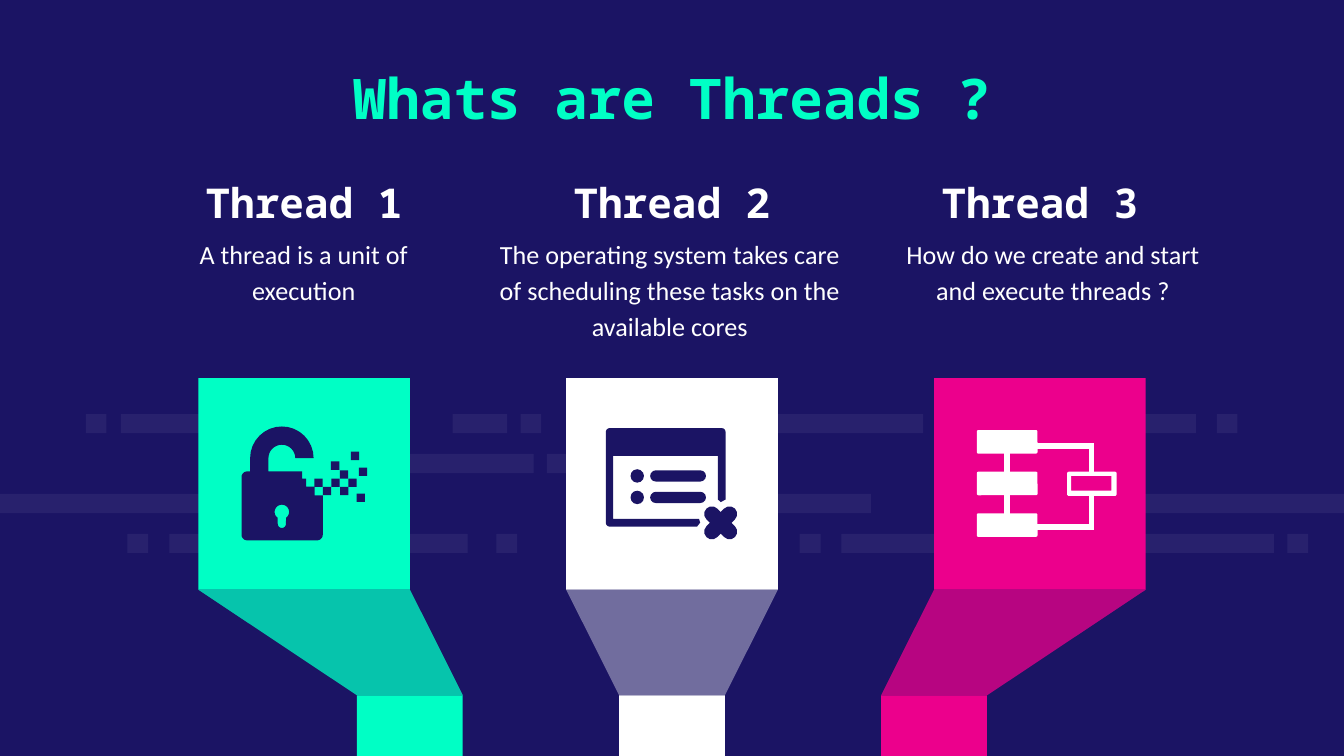
from math import cos, radians, sin

from lxml.etree import SubElement
from pptx import Presentation
from pptx.dml.color import RGBColor
from pptx.enum.shapes import MSO_CONNECTOR, MSO_SHAPE
from pptx.enum.text import MSO_ANCHOR, MSO_AUTO_SIZE, PP_ALIGN
from pptx.oxml.ns import qn
from pptx.util import Pt

NAVY = RGBColor(0x1B, 0x14, 0x64)
MINT = RGBColor(0x00, 0xFF, 0xC5)
PINK = RGBColor(0xEC, 0x00, 0x8C)
WHITE = RGBColor(0xFF, 0xFF, 0xFF)
MONO, SANS = "Noto Sans Mono", "Calibri"


def arc(x, y, r, start, end, steps=16):
    """Return points on an arc; angles in degrees, clockwise from the right."""
    turns = [radians(start + (end - start) * i / steps) for i in range(steps + 1)]
    return [(x + r * cos(t), y + r * sin(t)) for t in turns]


class Deck:
    """The style and the current slide."""

    def __init__(self, show):
        """Add a title-only slide with a navy ground."""
        self.slide = show.slides.add_slide(show.slide_layouts[5])
        self.shapes = self.slide.shapes
        self.slide.background.fill.solid()
        self.slide.background.fill.fore_color.rgb = NAVY

    def paint(self, shape, color, alpha=100):
        """Fill a shape, with no line or shadow."""
        shape.shadow.inherit = False
        shape.line.fill.background()
        shape.fill.solid()
        shape.fill.fore_color.rgb = color
        if alpha < 100:
            tone = shape.fill._xPr.find(".//" + qn("a:srgbClr"))
            SubElement(tone, qn("a:alpha")).set("val", str(alpha * 1000))

    def box(self, x, y, w, h, color, alpha=100, kind=MSO_SHAPE.RECTANGLE, bend=None, turn=0):
        """Draw a preset shape; bend is the corner radius."""
        shape = self.shapes.add_shape(kind, Pt(x), Pt(y), Pt(w), Pt(h))
        if bend:
            shape.adjustments[0] = bend / min(w, h)
        shape.rotation = turn
        self.paint(shape, color, alpha)

    def pill(self, x, y, w, h, bend, color, turn=0):
        """Draw a box with round corners."""
        self.box(x, y, w, h, color, kind=MSO_SHAPE.ROUNDED_RECTANGLE, bend=bend, turn=turn)

    def trace(self, color, *loops, alpha=100):
        """Draw closed outlines; inner ones are holes."""
        loops = [[(Pt(x), Pt(y)) for x, y in loop] for loop in loops]
        pen = self.shapes.build_freeform(*loops[0][0], scale=1.0)
        for i, loop in enumerate(loops):
            if i:
                pen.move_to(*loop[0])
            pen.add_line_segments(loop[1:], close=True)
        self.paint(pen.convert_to_shape(), color, alpha)

    def line(self, x1, y1, x2, y2, color, width=3):
        """Draw a straight line."""
        link = self.shapes.add_connector(MSO_CONNECTOR.STRAIGHT, Pt(x1), Pt(y1), Pt(x2), Pt(y2))
        link.line.color.rgb = color
        link.line.width = Pt(width)
        SubElement(link._element.spPr, qn("a:effectLst"))

    def style(self, shape, text, size, color, font, bold, anchor, pad, space):
        """Set the text of a shape and its format."""
        frame = shape.text_frame
        frame.text = text
        frame.word_wrap = True
        frame.auto_size = MSO_AUTO_SIZE.NONE
        frame.vertical_anchor = anchor
        frame.margin_left = frame.margin_right = Pt(7.2)
        frame.margin_top, frame.margin_bottom = Pt(pad[0]), Pt(pad[1])
        para = frame.paragraphs[0]
        para.alignment = PP_ALIGN.CENTER
        para.line_spacing = space
        face = para.runs[0].font
        face.name, face.size, face.bold = font, Pt(size), bold
        face.color.rgb = color

    def title(self, x, y, w, h, text):
        """Place and fill the title."""
        shape = self.shapes.title
        shape.left, shape.top, shape.width, shape.height = Pt(x), Pt(y), Pt(w), Pt(h)
        self.style(shape, text, 30, MINT, MONO, True, MSO_ANCHOR.TOP, (7.2, 7.2), 1.0)

    def head(self, x, y, w, h, text):
        """Add a column heading."""
        shape = self.shapes.add_textbox(Pt(x), Pt(y), Pt(w), Pt(h))
        self.style(shape, text, 22, WHITE, MONO, True, MSO_ANCHOR.BOTTOM, (7.2, 0), 1.0)

    def body(self, x, y, w, h, text):
        """Add the text of a column."""
        shape = self.shapes.add_textbox(Pt(x), Pt(y), Pt(w), Pt(h))
        self.style(shape, text, 14, WHITE, SANS, False, MSO_ANCHOR.TOP, (0, 7.2), 1.15)


def bars(deck):
    """Draw the faint bars behind the columns."""
    rows = [
        [(46, 11), (64.8, 105.1), (242.5, 29.2), (278.9, 11), (403.9, 90.7), (550, 90.7), (651.9, 11)],
        [(215.3, 70.6), (293, 28.8)],
        [(0, 106.6), (360, 106.6), (613.4, 106.6)],
        [(68.2, 11.2), (90.7, 159.8), (265.9, 11.2), (428.4, 11.2), (450.7, 231.8), (689.6, 11.2)],
    ]
    for i, row in enumerate(rows):
        for x, w in row:
            deck.box(x, 221.8 + 21.4 * i, w, 10.3, WHITE, 6)


def tower(deck, mid, foot, color):
    """Draw a square that narrows to a foot."""
    half, slim = 56.7, 28.35
    top, neck, base, end = 202.6, 315.9, 372.5, 405
    slope = [(foot - slim, base), (mid - half, neck), (mid + half, neck), (foot + slim, base)]
    if color == WHITE:
        deck.trace(color, slope, alpha=38)
    else:
        deck.trace(color, slope)
        deck.trace(NAVY, slope, alpha=25)
    deck.box(foot - slim, base, 2 * slim, end - base, color)
    deck.box(mid - half, top, 2 * half, neck - top, color)


def lock(deck):
    """Draw the open lock that breaks into bits."""
    steps = [(172.9, 265.4), (168.5, 265.4), (168.5, 260.8), (164, 260.8),
             (164, 256.4), (161.8, 256.4), (161.8, 252.6), (143.8, 252.6)]
    shell = (steps + arc(151, 245.5, 7.2, 180, 360) + arc(151, 245.5, 17, 360, 180)
             + [(134, 252.6)] + arc(132.4, 255.6, 3, 270, 180)
             + arc(132.4, 286.5, 3, 180, 90) + arc(169.9, 286.5, 3, 90, 0))
    hole = arc(151, 274.3, 3.9, 125, 415) + arc(151, 280.7, 2.2, 0, 180)
    deck.trace(NAVY, shell, hole)
    bits = [(172.9, 260.8), (177.5, 256.4), (182, 252), (177.3, 247.2), (168.4, 256.4),
            (182.2, 260.8), (191, 264.4), (186.6, 256.4), (192.2, 250.5), (187.9, 242)]
    for x, y in bits:
        deck.box(x, y, 4.5, 4.5, NAVY)


def window(deck):
    """Draw the window with a list and a cross."""
    frame = (arc(326.6, 231.4, 2, 180, 270) + arc(386.7, 231.4, 2, 270, 360)
             + [(388.7, 267.6), (386.2, 269), (384.6, 267.6), (384.6, 244.3), (328.5, 244.3),
                (328.5, 278), (374.5, 278), (375.1, 280), (373.5, 282.1)]
             + arc(326.6, 280.1, 2, 90, 180))
    deck.trace(NAVY, frame)
    for y in (255, 266.5):
        deck.box(337.8, y - 3.6, 7.2, 7.2, NAVY, kind=MSO_SHAPE.OVAL)
        deck.pill(348.3, y - 3, 29.9, 6, 3, NAVY)
    for turn in (45, -45):
        deck.pill(375.3, 276, 21.6, 8.2, 4.1, NAVY, turn)


def flow(deck):
    """Draw the linked boxes."""
    for i in range(3):
        deck.pill(523.3, 230.4 + 22.3 * i, 32.5, 12.6, 0.8, WHITE)
    deck.line(539.4, 242, 539.4, 276, WHITE)
    for y, stop, side in ((239.1, 253.5, -1), (282.2, 265, 1)):
        deck.line(555, y, 586.3, y, WHITE)
        deck.line(584.8, y + 1.5 * side, 584.8, stop, WHITE)
    rim = (arc(572.7, 253.7, 1, 180, 270) + arc(597.2, 253.7, 1, 270, 360)
           + arc(597.2, 264.7, 1, 0, 90) + arc(572.7, 264.7, 1, 90, 180))
    deck.trace(WHITE, rim, [(573.8, 254.9), (595.4, 254.9), (595.4, 262.8), (573.8, 262.8)])


def main():
    """Build the slide and save it."""
    show = Presentation()
    show.slide_width, show.slide_height = Pt(720), Pt(405)
    deck = Deck(show)
    bars(deck)
    deck.title(100.8, 26.6, 518.4, 52.6, "Whats are Threads ?")
    cols = [
        (MINT, lock, 81.4, 162.7, 36, "A thread is a unit of execution"),
        (WHITE, window, 257, 203.8, 64.8,
         "The operating system takes care of scheduling these tasks on the available cores"),
        (PINK, flow, 475.9, 176.4, 36, "How do we create and start and execute threads ?"),
    ]
    for i, (color, icon, x, w, h, text) in enumerate(cols):
        mid = 360 + 197.1 * (i - 1)
        deck.head(mid - 81.4, 85.7, 162.8, 36, f"Thread {i + 1}")
        deck.body(x, 125.3, w, h, text)
        tower(deck, mid, 360 + 140.4 * (i - 1), color)
        icon(deck)
    show.save("out.pptx")


main()
